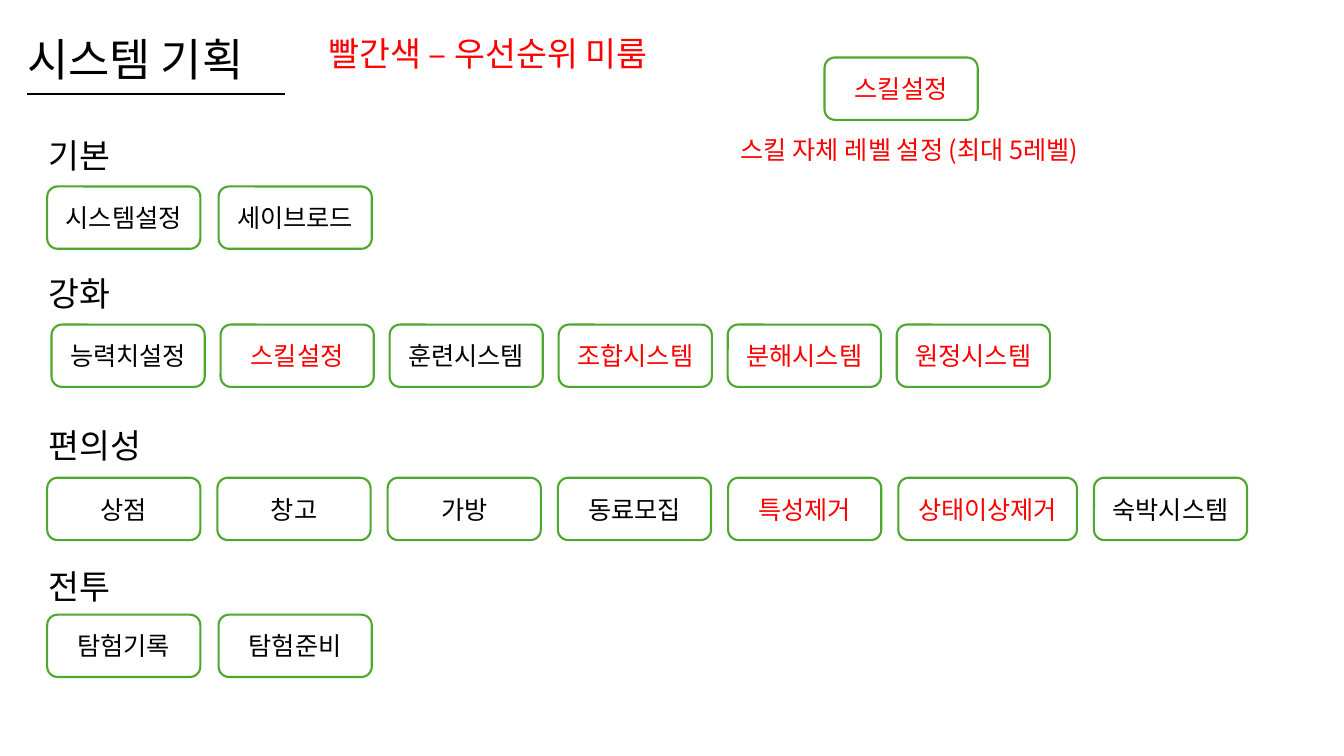
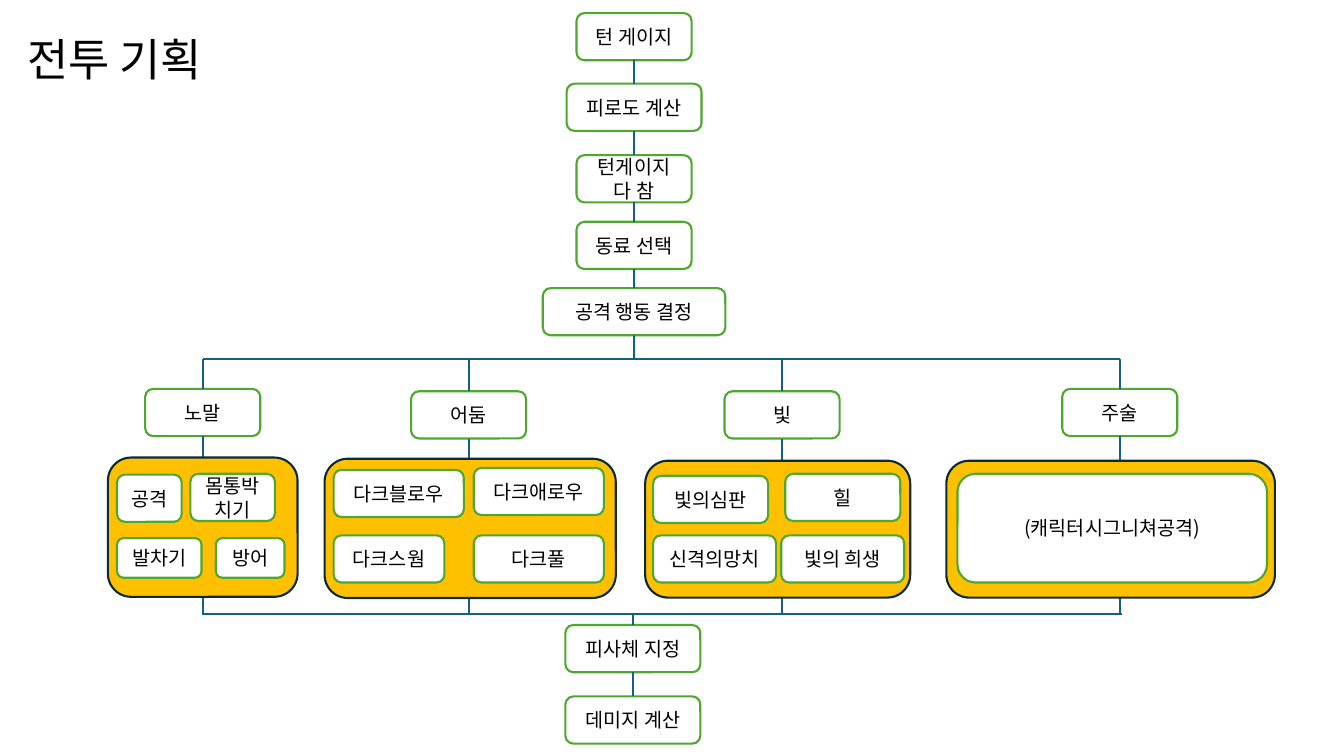
from lxml import etree
from pptx import Presentation
from pptx.dml.color import RGBColor
from pptx.enum import shapes, text
from pptx.oxml import ns
from pptx.util import Cm, Pt

FONT = "Noto Sans CJK KR"
BLACK = RGBColor(0x00, 0x00, 0x00)
WHITE = RGBColor(0xFF, 0xFF, 0xFF)
RED = RGBColor(0xFF, 0x00, 0x00)
GREEN = RGBColor(0x4E, 0xA7, 0x2E)
BLUE = RGBColor(0x15, 0x60, 0x82)
NAVY = RGBColor(0x09, 0x2A, 0x39)
AMBER = RGBColor(0xFF, 0xC0, 0x00)

BOX_WIDTH, BOX_HEIGHT = 3.86, 1.57
WIDE_BOX = {"상태이상제거": 4.5}
POSTPONED = {"스킬설정", "조합시스템", "분해시스템", "원정시스템", "특성제거", "상태이상제거"}
GROUPS = [
    ("기본", 2.95, 1.19, 4.7, 0.46, ["시스템설정", "세이브로드"]),
    ("강화", 6.43, 1.3, 8.18, 0.4,
     ["능력치설정", "스킬설정", "훈련시스템", "조합시스템", "분해시스템", "원정시스템"]),
    ("편의성", 10.26, 1.19, 12.04, 0.43,
     ["상점", "창고", "가방", "동료모집", "특성제거", "상태이상제거", "숙박시스템"]),
    ("전투", 13.82, 1.19, 15.49, 0.46, ["탐험기록", "탐험준비"]),
]

STEP_HEIGHT = 1.19
SPINE_X, RESULT_X = 15.98, 15.95
FORK_Y, JOIN_Y = 9.04, 15.47
STEPS = [
    ("턴 게이지", 0.33, 2.9),
    ("피로도 계산", 2.11, 3.4),
    ("턴게이지 다 참", 3.91, 2.9),
    ("동료 선택", 5.59, 2.9),
    ("공격 행동 결정", 7.26, 4.6),
]
RESULTS = [("피사체 지정", 15.75, 3.4), ("데미지 계산", 17.55, 3.4)]
BRANCHES = [
    ("노말", 5.11, 9.8, (2.72, 11.53, 4.78, 3.51), [
        ("공격", 2.95, 11.96, 1.63, 1.19),
        ("몸통박치기", 4.8, 11.94, 2.13, 1.19),
        ("발차기", 2.95, 13.56, 2.13, 1),
        ("방어", 5.44, 13.56, 1.73, 1)]),
    ("어둠", 11.81, 9.86, (8.18, 11.56, 7.34, 3.51), [
        ("다크블로우", 8.41, 11.84, 3.28, 1.19),
        ("다크애로우", 11.94, 11.79, 3.28, 1.19),
        ("다크스웜", 8.41, 13.49, 2.79, 1.19),
        ("다크풀", 11.94, 13.49, 3.28, 1.19)]),
    ("빛", 19.71, 9.86, (16.26, 11.61, 6.68, 3.45), [
        ("빛의심판", 16.46, 11.99, 2.9, 1.19),
        ("힐", 19.79, 11.94, 2.9, 1.19),
        ("신격의망치", 16.46, 13.49, 3.1, 1.19),
        ("빛의 희생", 19.69, 13.49, 3.1, 1.19)]),
    ("주술", 28.22, 9.8, (23.85, 11.61, 8.28, 3.45), [
        ("(캐릭터시그니쳐공격)", 24.13, 11.94, 7.8, 2.74)]),
]


def write(frame, words, size=18, color=BLACK, align=text.PP_ALIGN.LEFT,
          anchor=text.MSO_ANCHOR.MIDDLE, spacing=None):
    frame.word_wrap = True
    frame.auto_size = text.MSO_AUTO_SIZE.NONE
    frame.vertical_anchor = anchor
    para = frame.paragraphs[0]
    para.alignment = align
    para.line_spacing = spacing
    span = para.add_run()
    span.text = words
    span.font.name = FONT
    span.font.size = Pt(size)
    span.font.color.rgb = color
    east = etree.SubElement(span.font._element, ns.qn("a:ea"))
    east.set("typeface", FONT)


def add_page(deck, title):
    page = deck.slides.add_slide(deck.slide_layouts[5])
    holder = page.shapes.title
    holder.left, holder.top, holder.width, holder.height = map(Cm, (0.43, 0.33, 29.21, 2.44))
    write(holder.text_frame, title, size=32, spacing=0.9)
    return page


def add_label(page, words, left, top, width, height, **style):
    label = page.shapes.add_textbox(*map(Cm, (left, top, width, height)))
    write(label.text_frame, words, **style)


def add_box(page, left, top, width, height, fill=WHITE, line=GREEN, words=None, **style):
    box = page.shapes.add_shape(shapes.MSO_SHAPE.ROUNDED_RECTANGLE,
                                *map(Cm, (left, top, width, height)))
    box.shadow.inherit = False
    box.fill.solid()
    box.fill.fore_color.rgb = fill
    box.line.color.rgb = line
    box.line.width = Pt(1.5)
    if words:
        write(box.text_frame, words, align=text.PP_ALIGN.CENTER, **style)
    return box


def add_line(page, start, end, color=BLUE, above=None, below=None):
    line = page.shapes.add_connector(shapes.MSO_CONNECTOR.STRAIGHT, *map(Cm, start + end))
    line.line.color.rgb = color
    line.line.width = Pt(1.5)
    etree.SubElement(line._element.spPr, ns.qn("a:effectLst"))
    if above is not None:
        line.begin_connect(above, 2)
    if below is not None:
        line.end_connect(below, 0)


def add_chain(page, steps, center):
    boxes = [add_box(page, center - width / 2, top, width, STEP_HEIGHT, words=words, size=14)
             for words, top, width in steps]
    for above, below, step, following in zip(boxes, boxes[1:], steps, steps[1:]):
        add_line(page, (center, step[1] + STEP_HEIGHT), (center, following[1]),
                 above=above, below=below)
    return boxes


def build_system_page(deck):
    page = add_page(deck, "시스템 기획")
    add_line(page, (0.69, 2.36), (7.19, 2.36), color=BLACK)
    add_label(page, "빨간색 – 우선순위 미룸", 8.03, 0.38, 10.97, 2.03,
              size=24, color=RED, spacing=0.9)
    for heading, heading_top, left, top, gap, names in GROUPS:
        add_label(page, heading, 0.97, heading_top, 29.21, 2.03, size=24, spacing=0.9)
        for name in names:
            width = WIDE_BOX.get(name, BOX_WIDTH)
            add_box(page, left, top, width, BOX_HEIGHT, words=name,
                    color=RED if name in POSTPONED else BLACK)
            left += width + gap
    add_box(page, 20.78, 1.45, BOX_WIDTH, BOX_HEIGHT, words="스킬설정", color=RED)
    add_label(page, "스킬 자체 레벨 설정 (최대 5레벨)", 18.42, 3.25, 10.24, 1.02,
              color=RED, anchor=text.MSO_ANCHOR.TOP)


def build_battle_page(deck):
    page = add_page(deck, "전투 기획")
    decision = add_chain(page, STEPS, SPINE_X)[-1]
    add_line(page, (SPINE_X, STEPS[-1][1] + STEP_HEIGHT), (SPINE_X, FORK_Y), above=decision)
    add_line(page, (BRANCHES[0][1], FORK_Y), (BRANCHES[-1][1], FORK_Y))
    for name, center, top, panel, skills in BRANCHES:
        head = add_box(page, center - 1.45, top, 2.9, STEP_HEIGHT, words=name, size=14)
        add_line(page, (center, FORK_Y), (center, top), below=head)
        add_line(page, (center, top + STEP_HEIGHT), (center, JOIN_Y), above=head)
        add_box(page, *panel, fill=AMBER, line=NAVY)
        for skill, *place in skills:
            add_box(page, *place, words=skill, size=14)
    add_line(page, (5.08, JOIN_Y), (28.27, JOIN_Y))
    target = add_chain(page, RESULTS, RESULT_X)[0]
    add_line(page, (RESULT_X, JOIN_Y), (RESULT_X, RESULTS[0][1]), below=target)


def main():
    deck = Presentation()
    deck.slide_width, deck.slide_height = Cm(33.87), Cm(19.05)
    build_system_page(deck)
    build_battle_page(deck)
    deck.save("out.pptx")


if __name__ == "__main__":
    main()
